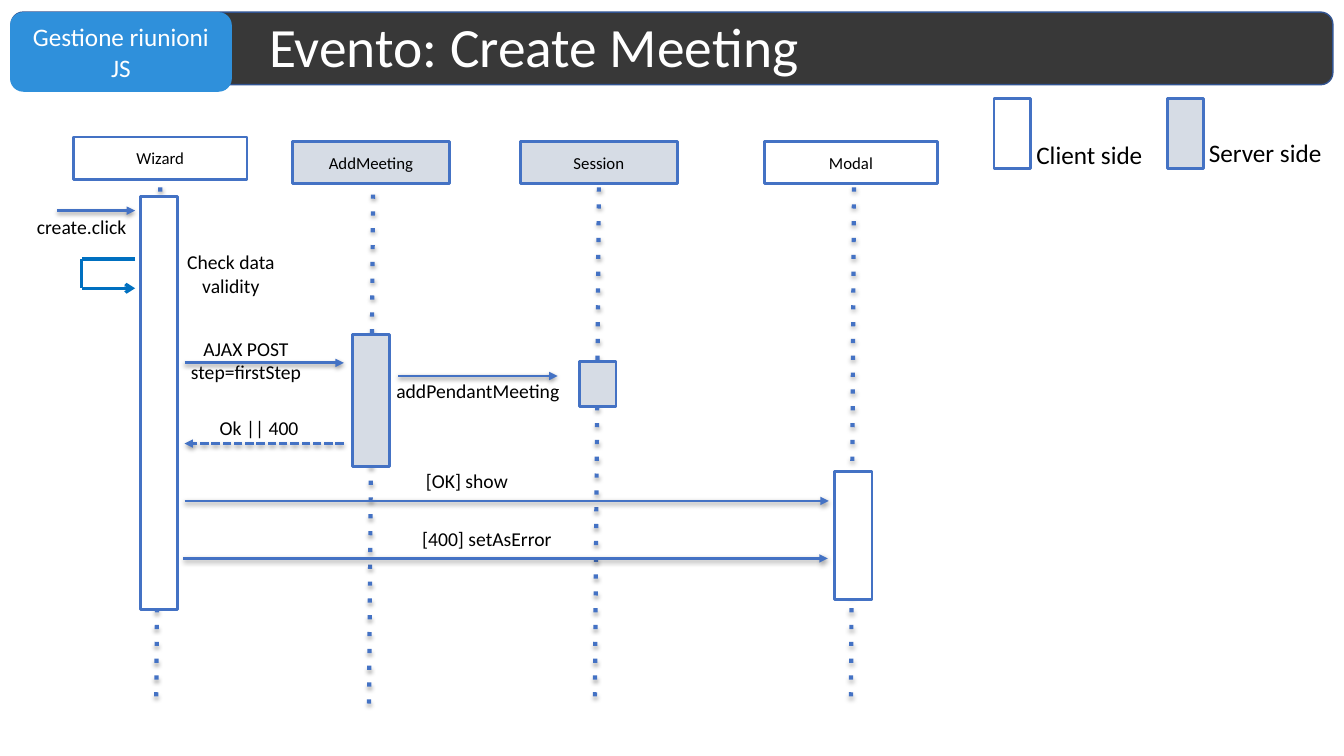
from lxml import etree
from pptx import Presentation
from pptx.dml.color import RGBColor
from pptx.enum import shapes, text
from pptx.oxml import ns
from pptx.util import Inches, Pt

WHITE = RGBColor(0xFF, 0xFF, 0xFF)
BLACK = RGBColor(0, 0, 0)
DARK = RGBColor(0x38, 0x38, 0x38)
NAVY = RGBColor(0x32, 0x54, 0x91)
SKY = RGBColor(0x2F, 0x90, 0xDB)
BLUE = RGBColor(0x44, 0x72, 0xC4)
LOOP = RGBColor(0, 0x70, 0xC0)
GREY = RGBColor(0xD6, 0xDC, 0xE5)

RECT = shapes.MSO_SHAPE.RECTANGLE
ROUND = shapes.MSO_SHAPE.ROUNDED_RECTANGLE
MID = text.MSO_ANCHOR.MIDDLE
TOP = text.MSO_ANCHOR.TOP
CENTER = text.PP_ALIGN.CENTER
LEFT = text.PP_ALIGN.LEFT


def write(shape, words, size=14, color=BLACK, align=CENTER, anchor=TOP,
          inset=(0.12, 0.06), wrap=True, space=None):
    frame = shape.text_frame
    frame.word_wrap = wrap
    frame.vertical_anchor = anchor
    frame.margin_left = frame.margin_right = Inches(inset[0])
    frame.margin_top = frame.margin_bottom = Inches(inset[1])
    frame.text = words
    for para in frame.paragraphs:
        para.alignment = align
        if space:
            para.line_spacing = space
        font = para.runs[0].font
        font.name, font.size = "Calibri", Pt(size)
        font.color.rgb = color


def box(slide, at, fill, line=BLUE, width=2, kind=RECT):
    shape = slide.shapes.add_shape(kind, *map(Inches, at))
    shape.shadow.inherit = False
    shape.fill.solid()
    shape.fill.fore_color.rgb = fill
    if line is None:
        shape.line.fill.background()
    else:
        shape.line.color.rgb = line
        shape.line.width = Pt(width)
    return shape


def label(slide, at, words, **style):
    write(slide.shapes.add_textbox(*map(Inches, at)), words, **style)


def child(node, tag, **attrs):
    return etree.SubElement(node, ns.qn("a:" + tag), attrs)


def link(slide, start, end, color=BLUE, width=2, dash=None, head=None,
         shade=None):
    """Draw a line; shade is (alpha, distance) of its shadow."""
    line = slide.shapes.add_connector(
        shapes.MSO_CONNECTOR.STRAIGHT, *map(Inches, start + end))
    line.line.color.rgb = color
    line.line.width = Pt(width)
    props = line._element.spPr
    stroke = props.find(ns.qn("a:ln"))
    if dash:
        child(stroke, "prstDash", val=dash)
    if head:
        child(stroke, "tailEnd", type=head)
    effects = child(props, "effectLst")
    if shade:
        alpha, dist = shade
        shadow = child(effects, "outerShdw", blurRad="40000", dist=str(dist),
                       dir="5400000", rotWithShape="0")
        tint = child(shadow, "srgbClr", val="000000")
        child(tint, "alpha", val=str(alpha))


def header(slide):
    box(slide, (0.11, 0.12, 13.11, 0.72), DARK, NAVY, 1, ROUND)
    tag = box(slide, (0.1, 0.12, 2.2, 0.79), SKY, None, kind=ROUND)
    write(tag, "Gestione riunioni JS", size=18, color=WHITE, anchor=MID,
          inset=(0.1, 0.05))
    label(slide, (2.57, 0.12, 10.63, 0.74), "Evento: Create Meeting",
          size=39.6, color=WHITE, align=LEFT, anchor=MID,
          inset=(0.1, 0.05), space=0.9)


def actor(slide, name, fill, head, life, bar):
    """Name box, dotted lifeline and activation bar of one participant."""
    top, foot, drop = life
    link(slide, (foot[0], top), foot, width=3, dash="dot",
         shade=(35000, 23000)) if drop == 0 else link(
        slide, (foot[0] + drop, top), foot, width=3, dash="dot",
        shade=(35000, 23000))
    write(box(slide, head, fill), name, size=12, anchor=MID)
    box(slide, bar, fill)


def message(slide, left, right, y, back=False):
    ends = [(left, y), (right, y)]
    if back:
        ends.reverse()
    link(slide, *ends, dash="sysDash" if back else None, head="triangle",
         shade=(38000, 20000))


def legend(slide, x, fill, words, at):
    box(slide, (x, 0.98, 0.36, 0.69), fill)
    label(slide, at, words, size=18, align=LEFT, inset=(0.1, 0.05),
          wrap=False)


def main():
    deck = Presentation()
    deck.slide_width, deck.slide_height = Inches(13.33), Inches(7.5)
    slide = deck.slides.add_slide(deck.slide_layouts[6])
    header(slide)

    # Participants: name, fill, name box, lifeline (top, foot, slant), bar
    for row in (
        ("Wizard", WHITE, (0.73, 1.36, 1.72, 0.42),
         (1.86, (1.55, 6.93), 0.04), (1.39, 1.95, 0.37, 4.1)),
        ("AddMeeting", GREY, (2.9, 1.4, 1.56, 0.42),
         (1.93, (3.66, 7), 0.04), (3.5, 3.32, 0.36, 1.31)),
        ("Session", GREY, (5.16, 1.4, 1.56, 0.42),
         (1.86, (5.9, 6.93), 0.04), (5.75, 3.59, 0.36, 0.44)),
        ("Modal", WHITE, (7.58, 1.4, 1.72, 0.42),
         (1.86, (8.44, 6.93), 0.03), (8.28, 4.68, 0.37, 1.27)),
    ):
        actor(slide, *row)

    # Messages
    for row in (
        (0.57, 1.34, 2.09),
        (1.83, 3.41, 3.6),
        (3.95, 5.53, 3.73),
        (1.83, 3.41, 4.4, True),
        (1.83, 8.22, 4.97),
        (1.82, 8.21, 5.54),
    ):
        message(slide, *row)

    # Self call of the wizard
    turn = [(1.34, 2.57), (0.81, 2.57), (0.81, 2.86), (1.34, 2.86)]
    for start, end, head in zip(turn, turn[1:], (None, None, "arrow")):
        link(slide, start, end, LOOP, 2.25, head=head)

    # Message labels
    for x, y, width, words in (
        (0.2, 2.07, 1.22, "create.click"),
        (1.68, 2.42, 1.22, "Check data validity"),
        (1.72, 3.28, 1.44, "AJAX POST\nstep=firstStep"),
        (3.79, 3.7, 1.9, "addPendantMeeting"),
        (1.96, 4.07, 1.22, "Ok || 400"),
        (4.02, 4.59, 1.22, "[OK] show"),
        (4.01, 5.17, 1.64, "[400] setAsError"),
    ):
        label(slide, (x, y, width, 0.3), words)

    # Legend
    legend(slide, 9.86, WHITE, "Client side", (10.18, 1.33, 1.31, 0.37))
    legend(slide, 11.58, GREY, "Server side", (11.89, 1.31, 1.39, 0.4))

    deck.save("out.pptx")


main()
